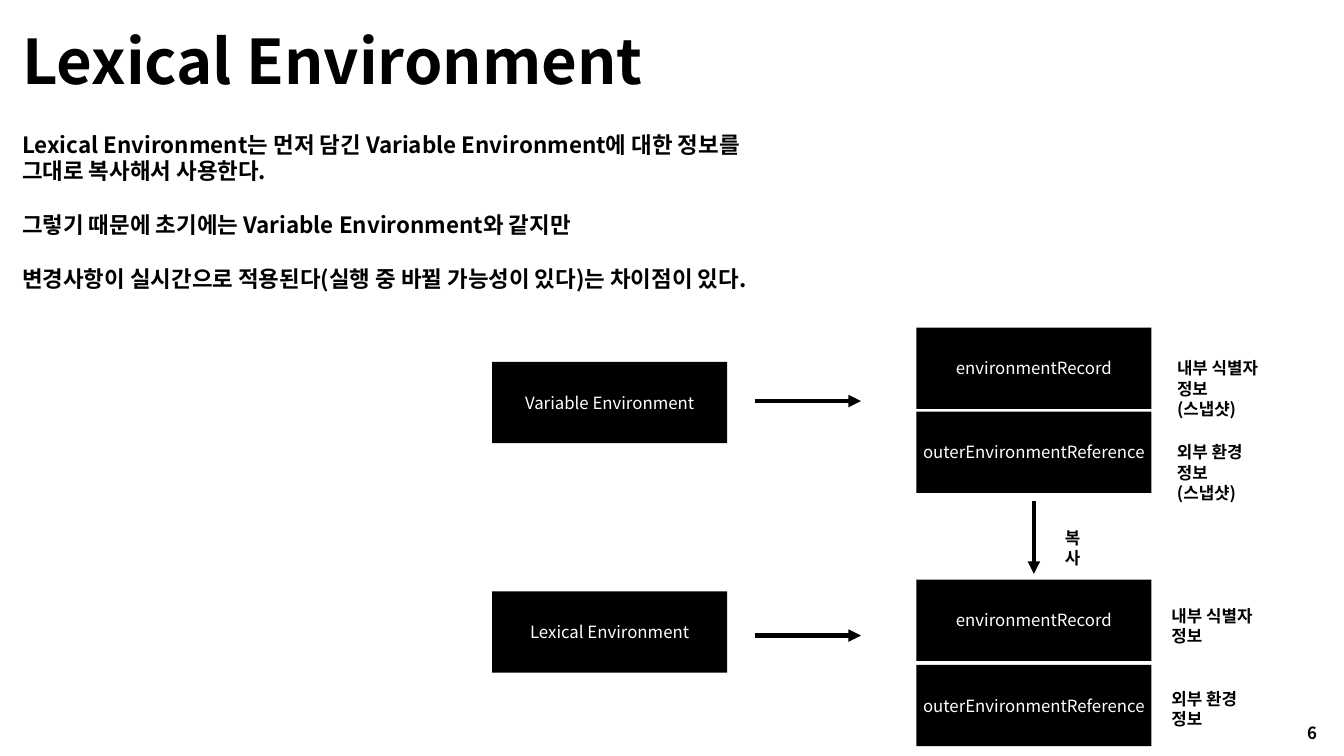
from lxml.etree import SubElement
from pptx import Presentation
from pptx.dml.color import RGBColor
from pptx.enum.shapes import MSO_CONNECTOR, MSO_SHAPE
from pptx.enum.text import MSO_ANCHOR, MSO_AUTO_SIZE, PP_ALIGN
from pptx.oxml.ns import qn
from pptx.util import Pt

BLACK = RGBColor(0, 0, 0)
WHITE = RGBColor(255, 255, 255)
FONT = "Noto Sans CJK KR"
PX = 9525
BOX_WIDTH, BOX_HEIGHT = 336, 116


class Page:
    """Draws the elements of one slide in a shared style."""

    def __init__(self, deck):
        self.shapes = deck.slides.add_slide(deck.slide_layouts[6]).shapes

    def add_span(self, para, words, color, size=18, bold=False):
        span = para.add_run()
        span.text = words
        for name, value in {"name": FONT, "size": Pt(size), "bold": bold}.items():
            setattr(span.font, name, value)
        span.font.color.rgb = color
        SubElement(span.font._element, qn("a:ea"), typeface=FONT)

    def text(self, left, top, width, height, lines, size=18, gaps=()):
        box = self.shapes.add_textbox(left * PX, top * PX, width * PX, height * PX)
        frame = box.text_frame
        for name, value in {"word_wrap": True, "auto_size": MSO_AUTO_SIZE.SHAPE_TO_FIT_TEXT}.items():
            setattr(frame, name, value)
        for index, words in enumerate(lines):
            para = frame.add_paragraph() if index else frame.paragraphs[0]
            if index in gaps:
                para.space_before = Pt(size * 1.2)
            self.add_span(para, words, BLACK, size, True)

    def block(self, left, top, words):
        box = self.shapes.add_shape(
            MSO_SHAPE.RECTANGLE, left * PX, top * PX, BOX_WIDTH * PX, BOX_HEIGHT * PX)
        box.shadow.inherit = False
        box.fill.solid()
        box.fill.fore_color.rgb = BLACK
        box.line.fill.background()
        box.text_frame.word_wrap = True
        box.text_frame.vertical_anchor = MSO_ANCHOR.MIDDLE
        para = box.text_frame.paragraphs[0]
        para.alignment = PP_ALIGN.CENTER
        self.add_span(para, words, WHITE)

    def arrow(self, *ends):
        connector = self.shapes.add_connector(MSO_CONNECTOR.STRAIGHT, *(end * PX for end in ends))
        connector.line.color.rgb = BLACK
        connector.line.width = Pt(4.5)
        SubElement(connector.line._get_or_add_ln(), qn("a:tailEnd"), type="triangle")
        SubElement(connector._element.spPr, qn("a:effectLst"))


def main():
    deck = Presentation()
    deck.slide_width, deck.slide_height = 1920 * PX, 1080 * PX
    page = Page(deck)

    page.text(1858, 1028, 36, 38, ["6"])
    page.text(22, 28, 1210, 116, ["Lexical Environment"], 66)
    page.text(22, 182, 1154, 242, [
        "Lexical Environment는 먼저 담긴 Variable Environment에 대한 정보를",
        "그대로 복사해서 사용한다.",
        "그렇기 때문에 초기에는 Variable Environment와 같지만",
        "변경사항이 실시간으로 적용된다(실행 중 바뀔 가능성이 있다)는 차이점이 있다.",
    ], 24, gaps=(2, 3))

    environments = [
        ("Variable Environment", 517, 573, (468, 588), 1672, (507, 627), ["(스냅샷)"]),
        ("Lexical Environment", 845, 908, (828, 950), 1664, (860, 979), []),
    ]
    parts = [
        ("environmentRecord", "내부 식별자 정보", 177),
        ("outerEnvironmentReference", "외부 환경 정보", 156),
    ]
    for name, top, arrow_top, block_tops, label_left, label_tops, extra in environments:
        page.block(703, top, name)
        page.arrow(1078, arrow_top, 1230, arrow_top)
        for (part, label, width), block_top, label_top in zip(parts, block_tops, label_tops):
            page.block(1309, block_top, part)
            page.text(label_left, label_top, width, 38, [label, *extra])

    page.arrow(1477, 716, 1477, 820)
    page.text(1512, 749, 61, 38, ["복사"])
    deck.save("out.pptx")


if __name__ == "__main__":
    main()
